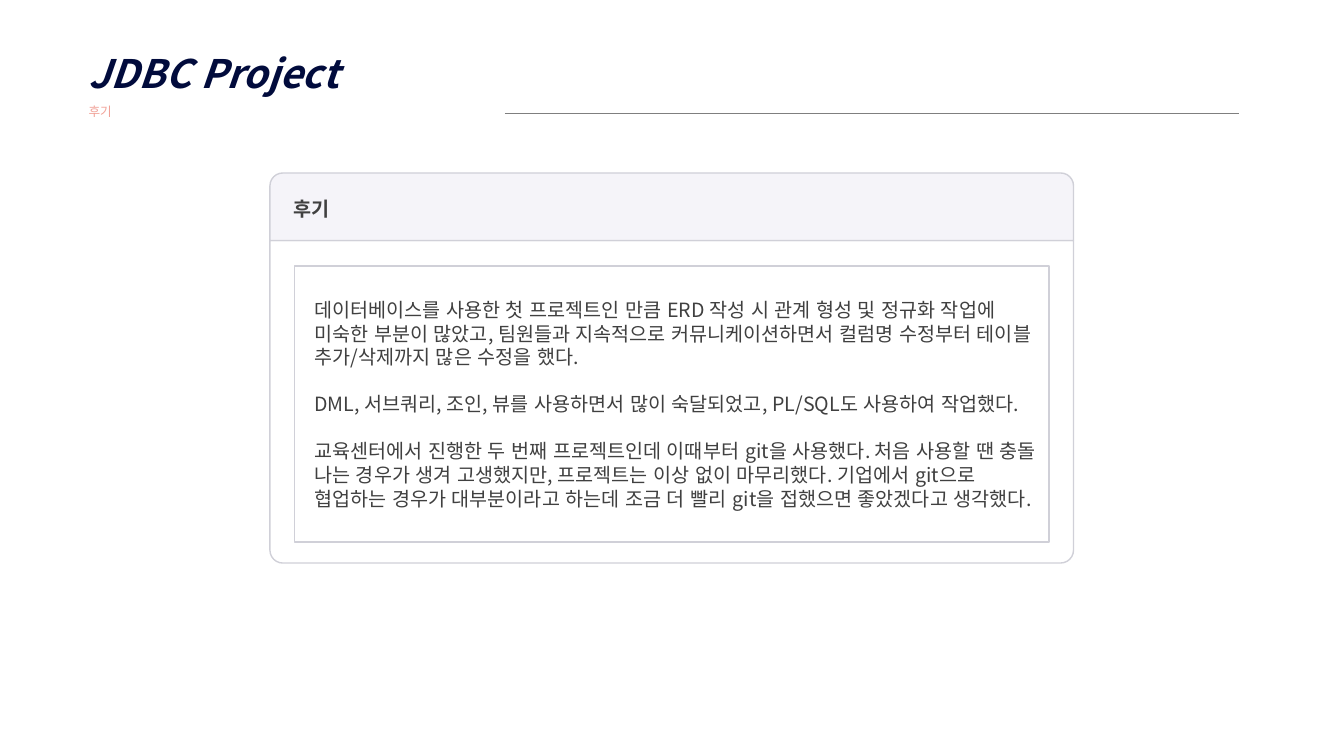
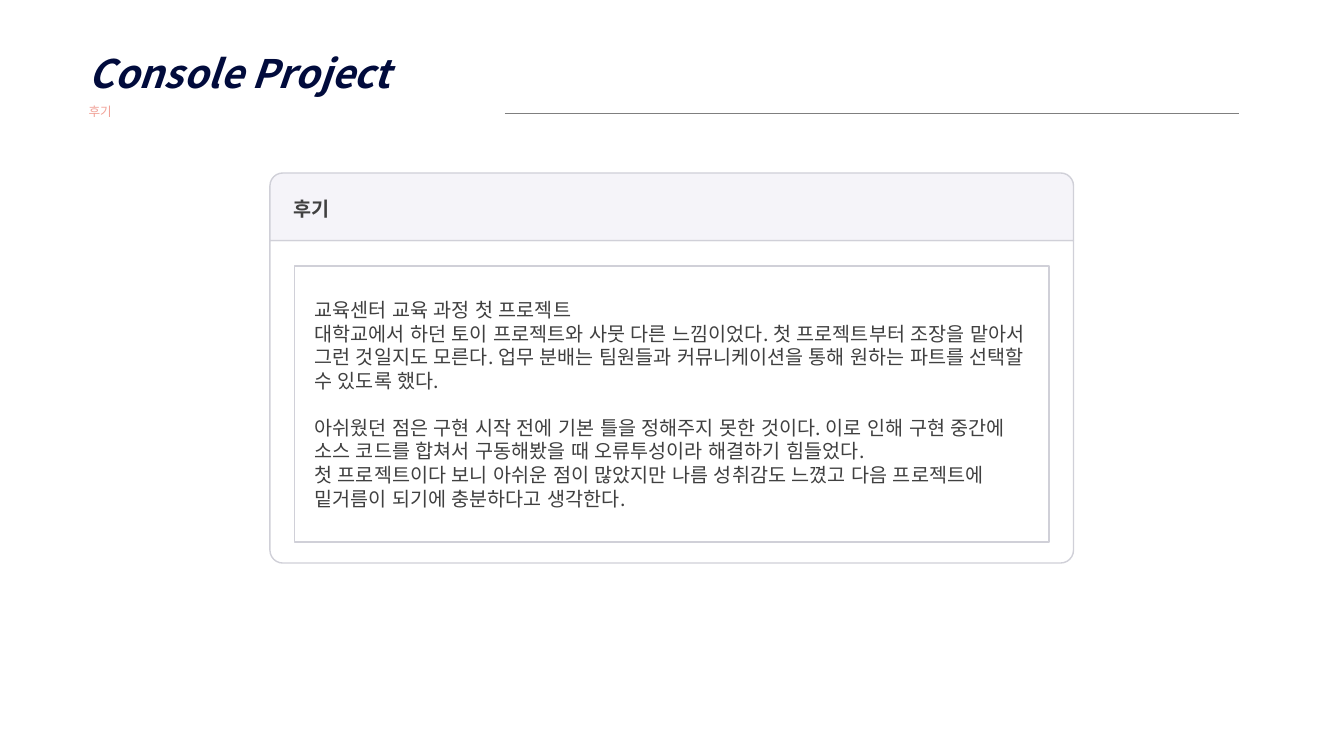
from lxml import etree
from pptx import Presentation
from pptx.dml.color import RGBColor
from pptx.enum.lang import MSO_LANGUAGE_ID
from pptx.enum.shapes import MSO_CONNECTOR, MSO_SHAPE
from pptx.enum.text import MSO_ANCHOR, PP_ALIGN
from pptx.oxml.ns import qn
from pptx.util import Pt

RECTANGLE = MSO_SHAPE.RECTANGLE
ROUND_SAME_SIDE = MSO_SHAPE.ROUND_2_SAME_RECTANGLE
STRAIGHT = MSO_CONNECTOR.STRAIGHT
LEFT, MIDDLE = PP_ALIGN.LEFT, MSO_ANCHOR.MIDDLE
KOREAN = MSO_LANGUAGE_ID.KOREAN

# Shared style
FONT = "Noto Sans CJK KR"
NAVY, PINK, RULE = "010B3C", "F1A197", "7F7F7F"
WHITE, HEADER_FILL, BORDER, INK = "FFFFFF", "F5F4F9", "D0D0D8", "404040"
SUBTITLE = "후기"
PARAGRAPH_GAP = 16.8

# Card geometry
CARD_LEFT, CARD_TOP, CARD_WIDTH = 192.8, 123.6, 574
HEADER_HEIGHT, BODY_HEIGHT = 48.2, 230.4
BODY_TOP = CARD_TOP + HEADER_HEIGHT
INSET = 17.4

# Each review: title, then groups of paragraphs set apart by a gap
REVIEWS = [
    ("JDBC Project", [
        ["데이터베이스를 사용한 첫 프로젝트인 만큼 ERD 작성 시 관계 형성 및 정규화 작업에 "
         "미숙한 부분이 많았고, 팀원들과 지속적으로 커뮤니케이션하면서 컬럼명 수정부터 "
         "테이블 추가/삭제까지 많은 수정을 했다."],
        ["DML, 서브쿼리, 조인, 뷰를 사용하면서 많이 숙달되었고, PL/SQL도 사용하여 작업했다."],
        ["교육센터에서 진행한 두 번째 프로젝트인데 이때부터 git을 사용했다. 처음 사용할 땐 "
         "충돌 나는 경우가 생겨 고생했지만, 프로젝트는 이상 없이 마무리했다. 기업에서 git으로 "
         "협업하는 경우가 대부분이라고 하는데 조금 더 빨리 git을 접했으면 좋았겠다고 생각했다."],
    ]),
    ("Console Project", [
        ["교육센터 교육 과정 첫 프로젝트",
         "대학교에서 하던 토이 프로젝트와 사뭇 다른 느낌이었다. 첫 프로젝트부터 조장을 맡아서 "
         "그런 것일지도 모른다. 업무 분배는 팀원들과 커뮤니케이션을 통해 원하는 파트를 선택할 "
         "수 있도록 했다."],
        ["아쉬웠던 점은 구현 시작 전에 기본 틀을 정해주지 못한 것이다. 이로 인해 구현 중간에 "
         "소스 코드를 합쳐서 구동해봤을 때 오류투성이라 해결하기 힘들었다.",
         "첫 프로젝트이다 보니 아쉬운 점이 많았지만 나름 성취감도 느꼈고 다음 프로젝트에 "
         "밑거름이 되기에 충분하다고 생각한다."],
    ]),
]


def add_text(paragraph, text, size, color, bold=False, italic=False):
    paragraph.alignment = LEFT
    run = paragraph.add_run()
    run.text = text
    font = run.font
    font.name, font.size, font.bold, font.italic = FONT, Pt(size), bold, italic
    font.language_id = KOREAN
    font.color.rgb = RGBColor.from_string(color)
    etree.SubElement(font._element, qn("a:ea")).set("typeface", FONT)


def add_panel(slide, kind, left, top, width, height, fill, corners=()):
    panel = slide.shapes.add_shape(kind, Pt(left), Pt(top), Pt(width), Pt(height))
    panel.shadow.inherit = False
    panel.fill.solid()
    panel.fill.fore_color.rgb = RGBColor.from_string(fill)
    panel.line.color.rgb = RGBColor.from_string(BORDER)
    panel.line.width = Pt(1)
    for index, corner in enumerate(corners):
        panel.adjustments[index] = corner
    frame = panel.text_frame
    frame.word_wrap = True
    frame.vertical_anchor = MIDDLE
    frame.margin_left, frame.margin_right = Pt(14.4), Pt(7.2)
    frame.margin_top = frame.margin_bottom = Pt(3.6)
    return frame


deck = Presentation()
deck.slide_width, deck.slide_height = Pt(960), Pt(540)

for title, groups in REVIEWS:
    slide = deck.slides.add_slide(deck.slide_layouts[6])

    # Title and subtitle
    heading = slide.shapes.add_textbox(Pt(56.2), Pt(14.9), Pt(480), Pt(75)).text_frame
    heading.word_wrap = True
    add_text(heading.paragraphs[0], title, 28, NAVY, bold=True, italic=True)
    add_text(heading.add_paragraph(), SUBTITLE, 9, PINK)
    for paragraph in heading.paragraphs:
        paragraph.line_spacing = 1.5

    # Card: body, header and framed review
    add_panel(slide, ROUND_SAME_SIDE, CARD_LEFT, BODY_TOP, CARD_WIDTH, BODY_HEIGHT,
              WHITE, (0, 0.04))
    header = add_panel(slide, ROUND_SAME_SIDE, CARD_LEFT, CARD_TOP, CARD_WIDTH,
                       HEADER_HEIGHT, HEADER_FILL, (0.19, 0))
    add_text(header.paragraphs[0], SUBTITLE, 14, INK, bold=True)
    review = add_panel(slide, RECTANGLE, CARD_LEFT + INSET, BODY_TOP + 18.2,
                       CARD_WIDTH - 2 * INSET, 197.3, WHITE)
    paragraph = review.paragraphs[0]
    for group_index, group in enumerate(groups):
        for index, text in enumerate(group):
            if group_index or index:
                paragraph = review.add_paragraph()
            if group_index and index == 0:
                paragraph.space_before = Pt(PARAGRAPH_GAP)
            add_text(paragraph, text, 14, INK)

    # Rule beside the title
    rule = slide.shapes.add_connector(STRAIGHT, Pt(360.7), Pt(81), Pt(884.9), Pt(81))
    rule.line.color.rgb = RGBColor.from_string(RULE)
    rule.line.width = Pt(0.5)
    etree.SubElement(rule._element.spPr, qn("a:effectLst"))

deck.save("out.pptx")
